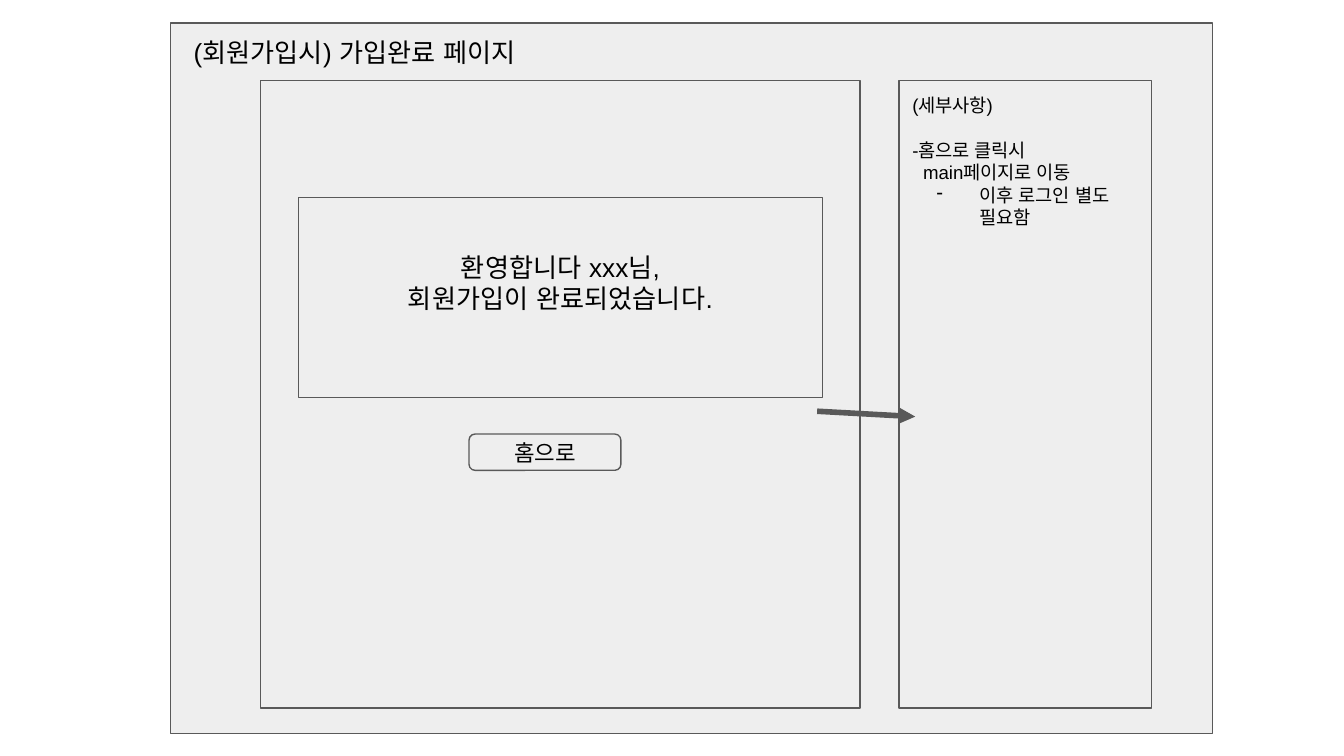
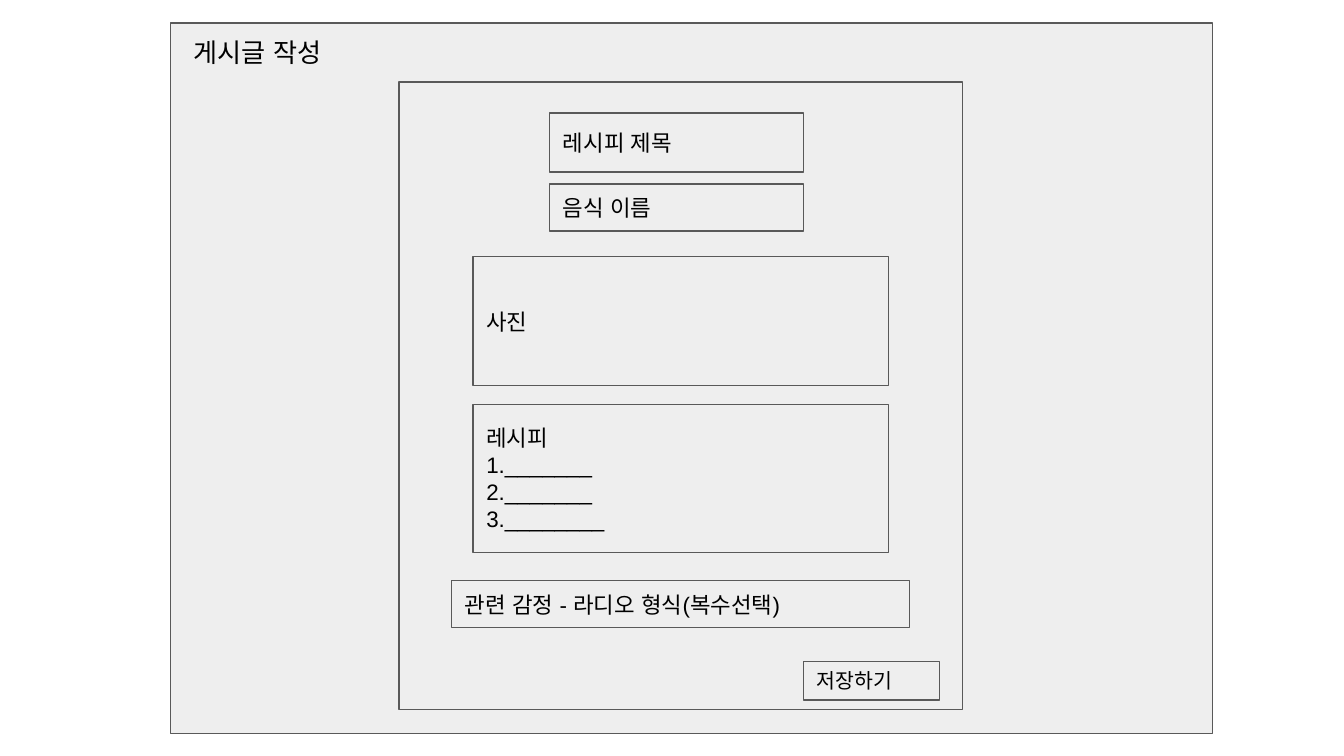
from copy import deepcopy
from dataclasses import dataclass

from lxml import etree
from pptx import Presentation
from pptx import util as u
from pptx.dml.color import RGBColor
from pptx.enum import shapes, text
from pptx.oxml import ns

PX = u.Inches(1) // 100
LEFT, CENTER = text.PP_ALIGN.LEFT, text.PP_ALIGN.CENTER
TOP, MIDDLE = text.MSO_ANCHOR.TOP, text.MSO_ANCHOR.MIDDLE


@dataclass(frozen=True)
class Theme:
    """Colours, font and type sizes shared by the wireframes."""

    surface: RGBColor = RGBColor(0xEE, 0xEE, 0xEE)
    outline: RGBColor = RGBColor(0x59, 0x59, 0x59)
    ink: RGBColor = RGBColor(0, 0, 0)
    font: str = "Arial"
    heading: int = 14
    label: int = 12
    action: int = 11
    detail: int = 10
    border: float = 0.75
    arrow: int = 3


@dataclass(frozen=True)
class Box:
    """A rectangle in px."""

    left: int
    top: int
    width: int
    height: int

    def inside(self, left, top, width, height):
        """Return a box placed relative to this one."""
        return Box(self.left + left, self.top + top, width, height)

    def emu(self):
        """Return left, top, width and height in EMU."""
        return [length * PX for length in (self.left, self.top, self.width, self.height)]


THEME = Theme()
FRAME = Box(127, 17, 775, 529)


def add_run(paragraph, content, size):
    """Add a run in the theme font and return it."""
    run = paragraph.add_run()
    run.text = content
    run.font.size = u.Pt(size)
    run.font.name = THEME.font
    run.font.color.rgb = THEME.ink
    etree.SubElement(run.font._rPr, ns.qn("a:ea"), typeface=THEME.font)
    return run


def write(shape, *lines, size=THEME.label, align=LEFT, anchor=MIDDLE, bottom=10):
    """Fill a shape with one paragraph per line, breaking it at newlines."""
    frame = shape.text_frame
    frame.word_wrap = True
    frame.vertical_anchor = anchor
    frame.margin_left = frame.margin_top = frame.margin_right = 10 * PX
    frame.margin_bottom = bottom * PX
    for index, line in enumerate(lines):
        paragraph = frame.add_paragraph() if index else frame.paragraphs[0]
        paragraph.alignment = align
        first, *others = line.split("\n")
        run = add_run(paragraph, first, size)
        for content in others:
            paragraph.add_line_break()
            paragraph._p[-1].append(deepcopy(run.font._rPr))
            add_run(paragraph, content, size)
    return frame


def add_block(slide, box, *lines, kind=shapes.MSO_SHAPE.RECTANGLE, **style):
    """Draw an outlined wireframe block with optional text."""
    shape = slide.shapes.add_shape(kind, *box.emu())
    shape.shadow.inherit = False
    shape.fill.solid()
    shape.fill.fore_color.rgb = THEME.surface
    shape.line.color.rgb = THEME.outline
    shape.line.width = u.Pt(THEME.border)
    if lines:
        write(shape, *lines, **style)
    return shape


def add_page(presentation, heading, panel):
    """Add a slide with the outer frame, a content panel and its title."""
    slide = presentation.slides.add_slide(presentation.slide_layouts[5])
    add_block(slide, FRAME)
    content = add_block(slide, panel)
    title = slide.shapes.title
    title.left, title.top, title.width, title.height = FRAME.inside(7, 0, 739, 44).emu()
    frame = write(title, heading, size=THEME.heading, anchor=TOP)
    frame.auto_size = text.MSO_AUTO_SIZE.SHAPE_TO_FIT_TEXT
    content.element.addnext(title.element)
    return slide


def indent(paragraph, margin, hanging=0, bullet=None):
    """Set the left margin of a paragraph and an optional hanging bullet."""
    properties = paragraph._p.get_or_add_pPr()
    properties.set("marL", str(margin * PX))
    properties.set("indent", str(-hanging * PX))
    if bullet:
        colour = etree.SubElement(properties, ns.qn("a:buClr"))
        etree.SubElement(colour, ns.qn("a:srgbClr"), val=str(THEME.ink))
        etree.SubElement(properties, ns.qn("a:buChar"), char=bullet)


def add_details(slide, box):
    """Add the column of behaviour notes."""
    shape = add_block(
        slide, box, "(세부사항)", "-홈으로 클릭시", "main페이지로 이동", "이후 로그인 별도 필요함",
        size=THEME.detail, anchor=TOP,
    )
    _, click, target, login = shape.text_frame.paragraphs
    click.space_before = u.Pt(12)
    indent(target, 8)
    indent(login, 50, hanging=32, bullet="-")


def add_arrow(slide, box):
    """Draw an arrow from the top left to the bottom right of a box."""
    left, top, width, height = box.emu()
    arrow = slide.shapes.add_connector(
        shapes.MSO_CONNECTOR.STRAIGHT, left, top, left + width, top + height
    )
    arrow.line.color.rgb = THEME.outline
    arrow.line.width = u.Pt(THEME.arrow)
    etree.SubElement(arrow.line._get_or_add_ln(), ns.qn("a:tailEnd"), type="triangle")
    etree.SubElement(arrow.element.spPr, ns.qn("a:effectLst"))


def build_welcome(presentation):
    """Build the page shown after signing up."""
    panel = FRAME.inside(67, 43, 446, 467)
    slide = add_page(presentation, "(회원가입시) 가입완료 페이지", panel)
    add_block(
        slide, panel.inside(28, 87, 390, 149), "환영합니다 xxx님,", "회원가입이 완료되었습니다.",
        size=THEME.heading, align=CENTER, bottom=33,
    )
    add_details(slide, FRAME.inside(542, 43, 188, 467))
    add_arrow(slide, FRAME.inside(481, 289, 73, 4))
    add_block(
        slide, panel.inside(155, 263, 113, 27), "홈으로",
        kind=shapes.MSO_SHAPE.ROUNDED_RECTANGLE, align=CENTER,
    )


def build_post_form(presentation):
    """Build the form for writing a recipe post."""
    panel = FRAME.inside(170, 44, 419, 467)
    slide = add_page(presentation, "게시글 작성", panel)
    fields = [
        ((112, 23, 189, 44), ["레시피 제목"]),
        ((55, 130, 309, 96), ["사진"]),
        ((55, 240, 309, 110), ["레시피\n1._______", "2._______", "3.________"]),
        ((39, 371, 341, 35), ["관련 감정 - 라디오 형식(복수선택)"]),
        ((112, 76, 189, 35), ["음식 이름"]),
    ]
    for place, lines in fields:
        add_block(slide, panel.inside(*place), *lines)
    add_block(slide, panel.inside(301, 431, 101, 29), "저장하기", size=THEME.action)


def main():
    """Build and save the wireframes."""
    presentation = Presentation()
    presentation.slide_width = u.Inches(10)
    presentation.slide_height = presentation.slide_width * 9 // 16
    build_welcome(presentation)
    build_post_form(presentation)
    presentation.save("out.pptx")


if __name__ == "__main__":
    main()
